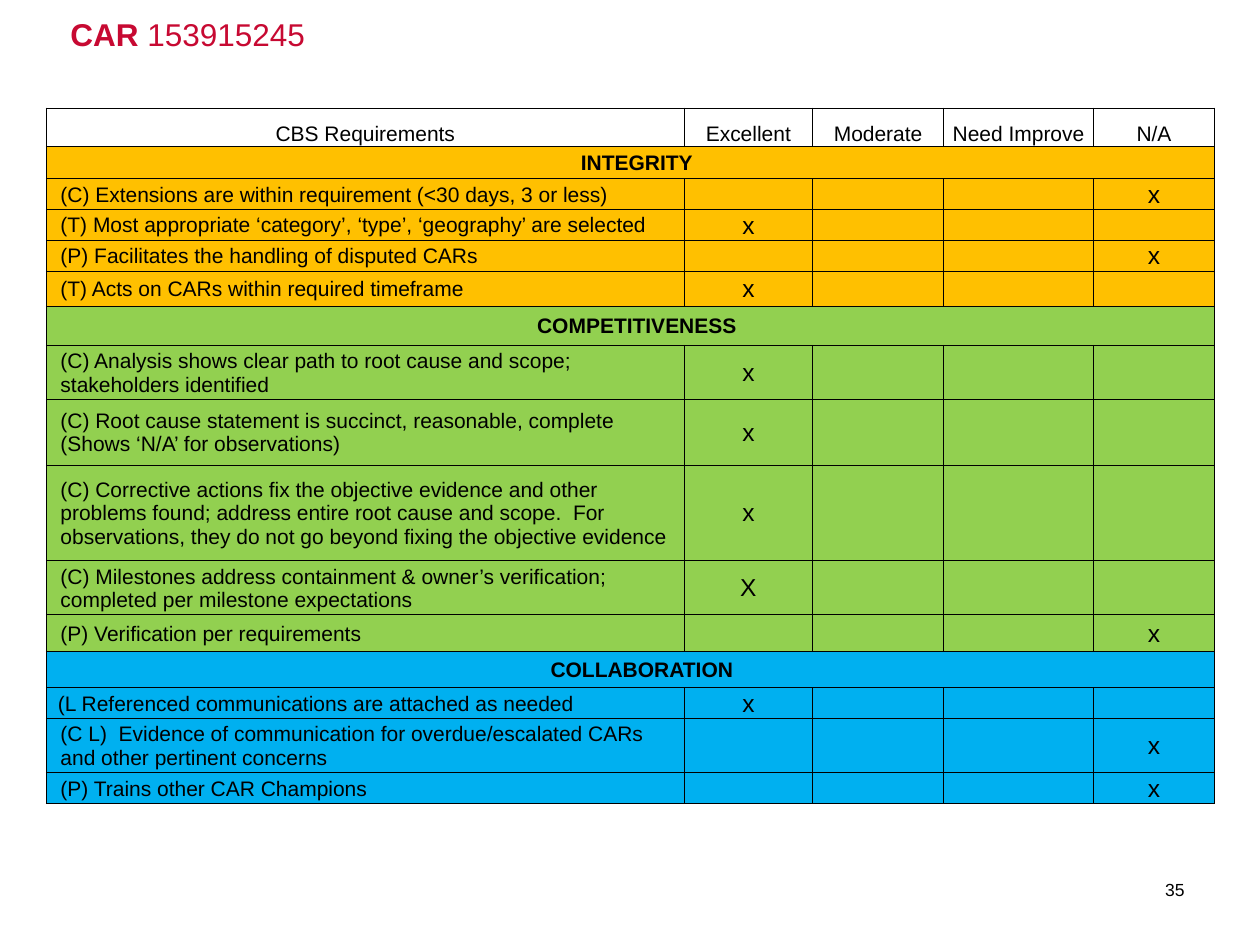
from dataclasses import dataclass

from lxml import etree
from pptx import Presentation
from pptx.dml.color import RGBColor
from pptx.enum.text import MSO_ANCHOR, PP_ALIGN
from pptx.oxml.ns import qn
from pptx.util import Inches, Pt

CENTER, LEFT, RIGHT = PP_ALIGN.CENTER, PP_ALIGN.LEFT, PP_ALIGN.RIGHT
MIDDLE, BOTTOM = MSO_ANCHOR.MIDDLE, MSO_ANCHOR.BOTTOM

BLACK = RGBColor(0x00, 0x00, 0x00)
CRIMSON = RGBColor(0xC7, 0x09, 0x32)
AMBER = RGBColor(0xFF, 0xC0, 0x00)
GREEN = RGBColor(0x92, 0xD0, 0x50)
BLUE = RGBColor(0x00, 0xB0, 0xF0)

FONT = "Arial"
THIN, THICK = Pt(0.5), Pt(1)
TEXT_SIZE, MARK_SIZE = 12, 14
COLUMN_WIDTHS = (5.06, 1.02, 1.04, 1.19, 0.96)
HEADINGS = ("CBS Requirements", "Excellent", "Moderate", "Need Improve", "N/A")
HEADING_HEIGHT = 0.3
EXCELLENT, NOT_APPLICABLE = 1, 4


@dataclass(frozen=True)
class Requirement:
    text: str
    height: float
    rating: int
    mark: str = "x"
    inset: float = 0.01
    indent: float = 0.1


@dataclass(frozen=True)
class Section:
    title: str
    height: float
    color: RGBColor
    requirements: tuple[Requirement, ...]
    inset: float = 0.01


SECTIONS = (
    Section("INTEGRITY", 0.26, AMBER, (
        Requirement("(C) Extensions are within requirement (<30 days, 3 or less)", 0.24, NOT_APPLICABLE),
        Requirement("(T) Most appropriate ‘category’, ‘type’, ‘geography’ are selected", 0.24, EXCELLENT),
        Requirement("(P) Facilitates the handling of disputed CARs", 0.24, NOT_APPLICABLE),
        Requirement("(T) Acts on CARs within required timeframe", 0.28, EXCELLENT),
    )),
    Section("COMPETITIVENESS", 0.31, GREEN, (
        Requirement("(C) Analysis shows clear path to root cause and scope;\n"
                    "stakeholders identified", 0.43, EXCELLENT),
        Requirement("(C) Root cause statement is succinct, reasonable, complete\n"
                    "(Shows ‘N/A’ for observations)", 0.52, EXCELLENT),
        Requirement("(C) Corrective actions fix the objective evidence and other problems found; "
                    "address entire root cause and scope.  For observations, they do not go "
                    "beyond fixing the objective evidence", 0.76, EXCELLENT),
        Requirement("(C) Milestones address containment & owner’s verification; "
                    "completed per milestone expectations", 0.43, EXCELLENT, mark="X"),
        Requirement("(P) Verification per requirements", 0.29, NOT_APPLICABLE),
    )),
    Section("COLLABORATION", 0.29, BLUE, (
        Requirement("(L Referenced communications are attached as needed", 0.24, EXCELLENT,
                    inset=0.09, indent=0),
        Requirement("(C L)  Evidence of communication for overdue/escalated CARs "
                    "and other pertinent concerns", 0.43, NOT_APPLICABLE),
        Requirement("(P) Trains other CAR Champions", 0.24, NOT_APPLICABLE),
    ), inset=0.09),
)


def format_span(span, size: float, color: RGBColor = BLACK, bold: bool = False) -> None:
    """Give a run its font, size, colour and weight."""
    span.font.name = FONT
    span.font.size = Pt(size)
    span.font.bold = bold
    span.font.color.rgb = color


def fill_cell(cell, text: str = "", size: float = TEXT_SIZE, color: RGBColor | None = None,
              align=CENTER, anchor=MIDDLE, bold: bool = False,
              inset: float = 0.01, indent: float = 0) -> None:
    """Write and format one table cell."""
    cell.margin_left = Inches(inset)
    cell.margin_top = cell.margin_right = Inches(0.01)
    cell.margin_bottom = 0
    cell.vertical_anchor = anchor
    if color is None:
        cell.fill.background()
    else:
        cell.fill.solid()
        cell.fill.fore_color.rgb = color
    cell.text_frame.text = text
    for para in cell.text_frame.paragraphs:
        para.alignment = align
        if indent:
            para._p.get_or_add_pPr().set("marL", str(Inches(indent)))
        for span in para.runs:
            format_span(span, size, bold=bold)
        if not para.runs:
            etree.SubElement(para._p, qn("a:endParaRPr"), sz=str(size * 100))


def draw_borders(table) -> None:
    """Rule every cell thinly and the outer edge of the table thickly."""
    last_row, last_column = len(table.rows) - 1, len(table.columns) - 1
    for row in range(last_row + 1):
        for column in range(last_column + 1):
            properties = table.cell(row, column)._tc.get_or_add_tcPr()
            outer_edges = (("a:lnL", column == 0), ("a:lnR", column == last_column),
                           ("a:lnT", row == 0), ("a:lnB", row == last_row))
            for position, (tag, outer) in enumerate(outer_edges):
                line = etree.Element(qn(tag), w=str(THICK if outer else THIN))
                fill = etree.SubElement(line, qn("a:solidFill"))
                etree.SubElement(fill, qn("a:srgbClr"), val=str(BLACK))
                properties.insert(position, line)


def add_scorecard(page) -> None:
    """Add the table of requirements and ratings."""
    heights = [HEADING_HEIGHT]
    for section in SECTIONS:
        heights += [section.height, *(item.height for item in section.requirements)]
    table = page.shapes.add_table(
        len(heights), len(COLUMN_WIDTHS), Inches(0.37), Inches(0.86),
        Inches(sum(COLUMN_WIDTHS)), Inches(sum(heights))).table
    table.first_row = table.horz_banding = False
    for column, width in zip(table.columns, COLUMN_WIDTHS):
        column.width = Inches(width)
    for row, height in zip(table.rows, heights):
        row.height = Inches(height)

    for column, heading in enumerate(HEADINGS):
        fill_cell(table.cell(0, column), heading, anchor=BOTTOM)
    row = 1
    for section in SECTIONS:
        for cell in table.rows[row].cells:
            fill_cell(cell, color=section.color)
        table.cell(row, 0).merge(table.cell(row, len(COLUMN_WIDTHS) - 1))
        fill_cell(table.cell(row, 0), section.title, color=section.color, bold=True,
                  inset=section.inset, indent=0.1)
        row += 1
        for item in section.requirements:
            fill_cell(table.cell(row, 0), item.text, color=section.color, align=LEFT,
                      inset=item.inset, indent=item.indent)
            for column in range(1, len(COLUMN_WIDTHS)):
                if column == item.rating:
                    fill_cell(table.cell(row, column), item.mark, MARK_SIZE, section.color)
                else:
                    fill_cell(table.cell(row, column), color=section.color)
            row += 1
    draw_borders(table)


def add_title(page) -> None:
    """Add the heading with its bold label and plain number."""
    box = page.shapes.add_textbox(Inches(0.46), Inches(0.07), Inches(3.75), Inches(0.39))
    box.text_frame.word_wrap = True
    para = box.text_frame.paragraphs[0]
    for text, bold in (("CAR ", True), ("153915245", False)):
        span = para.add_run()
        span.text = text
        format_span(span, 18, CRIMSON, bold)


def add_page_number(page) -> None:
    """Add the page number at the bottom right."""
    box = page.shapes.add_textbox(Inches(8.8), Inches(6.86), Inches(0.7), Inches(0.4))
    box.text_frame.word_wrap = True
    box.text_frame.vertical_anchor = MIDDLE
    box.text_frame.text = "35"
    para = box.text_frame.paragraphs[0]
    para.alignment = RIGHT
    format_span(para.runs[0], 10)


def main() -> None:
    """Build the slide and save it."""
    deck = Presentation()
    deck.slide_width, deck.slide_height = Inches(10), Inches(7.5)
    page = deck.slides.add_slide(deck.slide_layouts[6])
    add_title(page)
    add_scorecard(page)
    add_page_number(page)
    deck.save("out.pptx")


if __name__ == "__main__":
    main()
